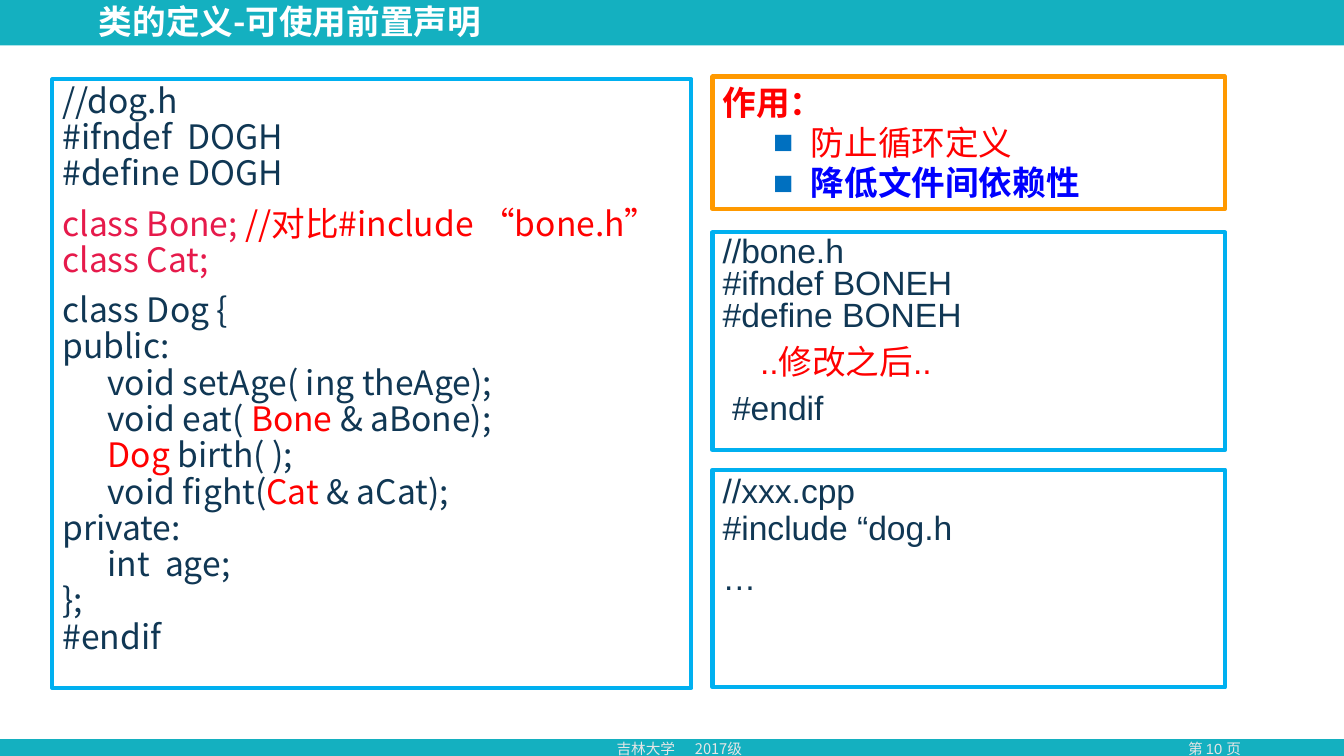
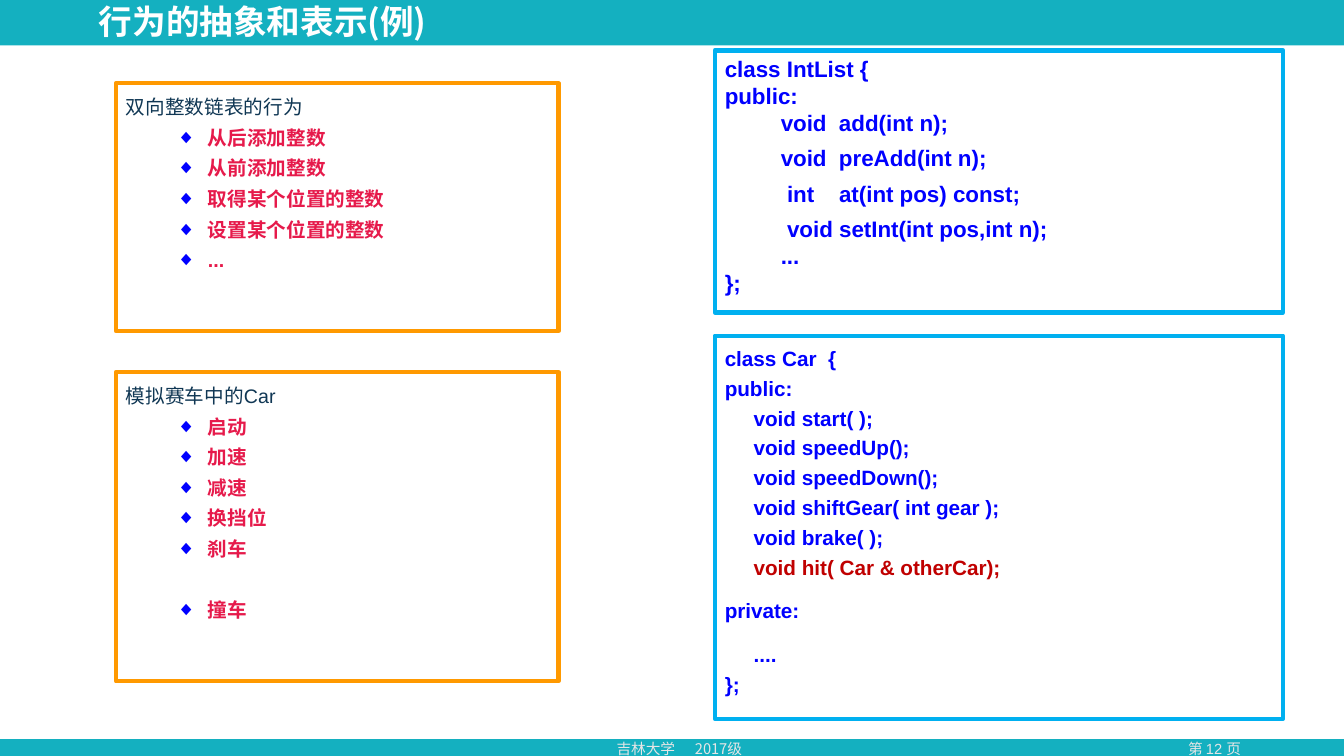
from collections import namedtuple
from dataclasses import dataclass
from pptx import Presentation
from pptx.dml.color import RGBColor as Rgb
from pptx.enum.shapes import MSO_SHAPE as Kind
from pptx.enum.text import MSO_ANCHOR as Anchor, MSO_AUTO_SIZE as Auto, PP_ALIGN as Align
from pptx.oxml.ns import qn
from pptx.util import Pt
from lxml import etree


@dataclass(frozen=True)
class Theme:
    teal: str = "14B0C0"
    white: str = "FFFFFF"
    pale: str = "E7E6E6"
    ink: str = "103754"
    red: str = "FF0000"
    pink: str = "E61A4B"
    blue: str = "0000FF"
    wine: str = "C00000"
    sky: str = "00B0F0"
    gold: str = "FF9900"
    navy: str = "0070C0"
    sans: str = "Noto Sans CJK SC"
    arial: str = "Arial"
    big: float = 24
    mid: float = 16
    code: float = 14.8
    small: float = 14
    foot: float = 10.5


T = Theme()
WIDE, HIGH = 960, 540
SPACE = {T.sans: 0.224, T.arial: 0.278}

Code = namedtuple("Code", "at face size ink bold lead gap groups")
List = namedtuple("List", "at size lead mark tint left hang head items")
Item = namedtuple("Item", "text ink bold face gap", defaults=(T.arial, 0))


def pink(text, gap=0):
    return Item(text, T.pink, True, gap=gap)


def deeds(at, head, items):
    return List(at, T.small, 1.3, "◆", T.blue, 58.5, 22.5, Item(head, T.ink, False), items)


dog = Code((37.4, 56.6, 456.5, 434.9), T.sans, T.big, T.ink, False, 0.9, 10, [
    ["//dog.h", "#ifndef  DOGH", "#define DOGH"],
    [[("class Bone; ", T.pink), ("//对比#include “bone.h”", T.red)],
     [("class Cat;", T.pink)]],
    ["class Dog {",
     "public:",
     "      void setAge( ing theAge);",
     [("      void eat( ", T.ink), ("Bone", T.red), (" & aBone);", T.ink)],
     [("      Dog", T.red), (" birth( );", T.ink)],
     [("      void fight(", T.ink), ("Cat", T.red), (" & aCat);", T.ink)],
     "private:",
     "      int  age;",
     "};",
     "#endif"]])

bone = Code((509, 166, 366, 155.5), T.arial, T.big, T.ink, False, 0.8, 10, [
    ["//bone.h", "#ifndef BONEH", "#define BONEH"],
    [[("    ..修改之后..", T.red)]],
    [" #endif"]])

uses = List((509, 54.7, 366, 94.6), T.big, 1, "■", T.navy, 63, 27,
            Item("作用：", T.red, True),
            [Item("防止循环定义", T.red, False, T.sans),
             Item("降低文件间依赖性", T.blue, True, T.sans)])

main = Code((509, 335.5, 366, 155.5), T.arial, T.big, T.ink, False, 0.9, 10, [
    ["//xxx.cpp", "#include “dog.h"], ["…"]])

ints = Code((510.5, 36, 406, 187.2), T.arial, T.mid, T.blue, True, 1, 6, [
    ["class IntList {", "public:", "         void  add(int n);"],
    ["         void  preAdd(int n);"],
    ["          int    at(int pos) const;"],
    ["          void setInt(int pos,int n);", "         ...", "};"]])

car = Code((510.5, 239.8, 406, 273.6), T.arial, T.code, T.blue, True, 1.2, 10, [
    ["class Car  {",
     "public:",
     "     void start( );",
     "     void speedUp();",
     "     void speedDown();",
     "     void shiftGear( int gear );",
     "     void brake( );",
     [("     void hit( Car & otherCar);", T.wine)]],
    ["private:"],
    ["     ....", "};"]])

links = deeds((82.8, 59.4, 316.1, 177.1), "双向整数链表的行为",
              [pink(t) for t in ("从后添加整数", "从前添加整数", "取得某个位置的整数",
                                 "设置某个位置的整数", "...")])
race = deeds((82.8, 265.7, 316.1, 221), "模拟赛车中的Car",
             [pink(t) for t in ("启动", "加速", "减速", "换挡位", "刹车")]
             + [pink("撞车", 22)])

PAGES = [
    ("类的定义-可使用前置声明", 10, [dog, bone, uses, main]),
    ("行为的抽象和表示(例)", 12, [ints, links, car, race]),
]
FOOT = [("吉林大学", 433.4), ("2017级", 489.3)]


def place(shape, at):
    shape.left, shape.top, shape.width, shape.height = map(Pt, at)


def style(font, size, ink, bold=False, face=T.sans):
    font.size, font.bold, font.name = Pt(size), bold, face
    font.color.rgb = Rgb.from_string(ink)


def indent(para, left, hang=0, mark=None, tint=None):
    props = para._p.get_or_add_pPr()
    props.set("marL", str(int(Pt(left))))
    props.set("indent", str(int(Pt(-hang))))
    if mark:
        hue = etree.SubElement(props, qn("a:buClr"))
        etree.SubElement(hue, qn("a:srgbClr"), val=tint)
        etree.SubElement(props, qn("a:buFont"), typeface=T.arial)
        etree.SubElement(props, qn("a:buChar"), char=mark)
    else:
        etree.SubElement(props, qn("a:buNone"))


def space(para, lead, gap):
    para.alignment = Align.LEFT
    para.line_spacing = float(lead)
    para.space_before, para.space_after = Pt(gap), Pt(0)


def paras(frame):
    yield frame.paragraphs[0]
    while True:
        yield frame.add_paragraph()


def frame_of(shape, at, edge):
    place(shape, at)
    shape.line.color.rgb = Rgb.from_string(edge)
    shape.line.width = Pt(3)
    frame = shape.text_frame
    frame.word_wrap, frame.auto_size = True, Auto.NONE
    frame.vertical_anchor = Anchor.TOP
    return frame


def put_code(shape, box):
    make = paras(frame_of(shape, box.at, T.sky))
    for group in box.groups:
        for row, line in enumerate(group):
            spans = [(line, box.ink)] if isinstance(line, str) else line
            first = spans[0][0]
            depth = len(first) - len(first.lstrip())
            para = next(make)
            indent(para, round(depth * box.size * SPACE[box.face], 1))
            space(para, box.lead, 0 if row else box.gap)
            style(para.font, box.size, spans[0][1], box.bold, box.face)
            for col, (text, ink) in enumerate(spans):
                run = para.add_run()
                run.text = text if col else text.lstrip()
                if len(spans) > 1:
                    run.font.color.rgb = Rgb.from_string(ink)


def put_list(shape, box):
    make = paras(frame_of(shape, box.at, T.gold))
    for row, item in enumerate([box.head] + box.items):
        para = next(make)
        para.text = item.text
        if row:
            para.level = 1
            indent(para, box.left, box.hang, box.mark, box.tint)
        else:
            indent(para, 0)
        space(para, box.lead, item.gap)
        style(para.font, box.size, item.ink, item.bold, item.face)


def label(slide, text, at, face, align=Align.LEFT):
    shape = slide.shapes.add_textbox(*map(Pt, at))
    shape.text_frame.word_wrap = True
    para = shape.text_frame.paragraphs[0]
    para.text, para.alignment = text, align
    style(para.font, T.foot, T.pale, face=face)
    return shape


def band(slide, at, fill):
    shape = slide.shapes.add_shape(Kind.RECTANGLE, *map(Pt, at))
    shape.shadow.inherit = False
    shape.fill.solid()
    shape.fill.fore_color.rgb = Rgb.from_string(fill)
    shape.line.fill.background()
    return shape


def dress(slide):
    parts = [band(slide, (0, 0, WIDE, HIGH), T.teal),
             band(slide, (0, 32.4, WIDE, 495.4), T.white)]
    parts += [label(slide, text, (left, 524.9, 76, 20), T.sans) for text, left in FOOT]
    for part in parts:
        slide.slide_layout.shapes.element.append(part.element)


def put_title(shape, text):
    place(shape, (63.4, 2.9, 553, 28))
    frame = shape.text_frame
    frame.auto_size, frame.vertical_anchor = Auto.NONE, Anchor.MIDDLE
    para = frame.paragraphs[0]
    para.text = text
    space(para, 0.9, 0)
    style(para.font, T.big, T.white, True)


deck = Presentation()
deck.slide_width, deck.slide_height = Pt(WIDE), Pt(HIGH)
layout = deck.slide_layouts.get_by_name("Comparison")
for title, page, boxes in PAGES:
    slide = deck.slides.add_slide(layout)
    if len(deck.slides) == 1:
        dress(slide)
    put_title(slide.shapes.title, title)
    bodies = list(slide.placeholders)[1:]
    for shape, box in zip(bodies, boxes):
        put = put_code if isinstance(box, Code) else put_list
        put(shape, box)
    label(slide, f"第 {page} 页", (815, 524.9, 105, 20), T.arial, Align.CENTER)
deck.save("out.pptx")
